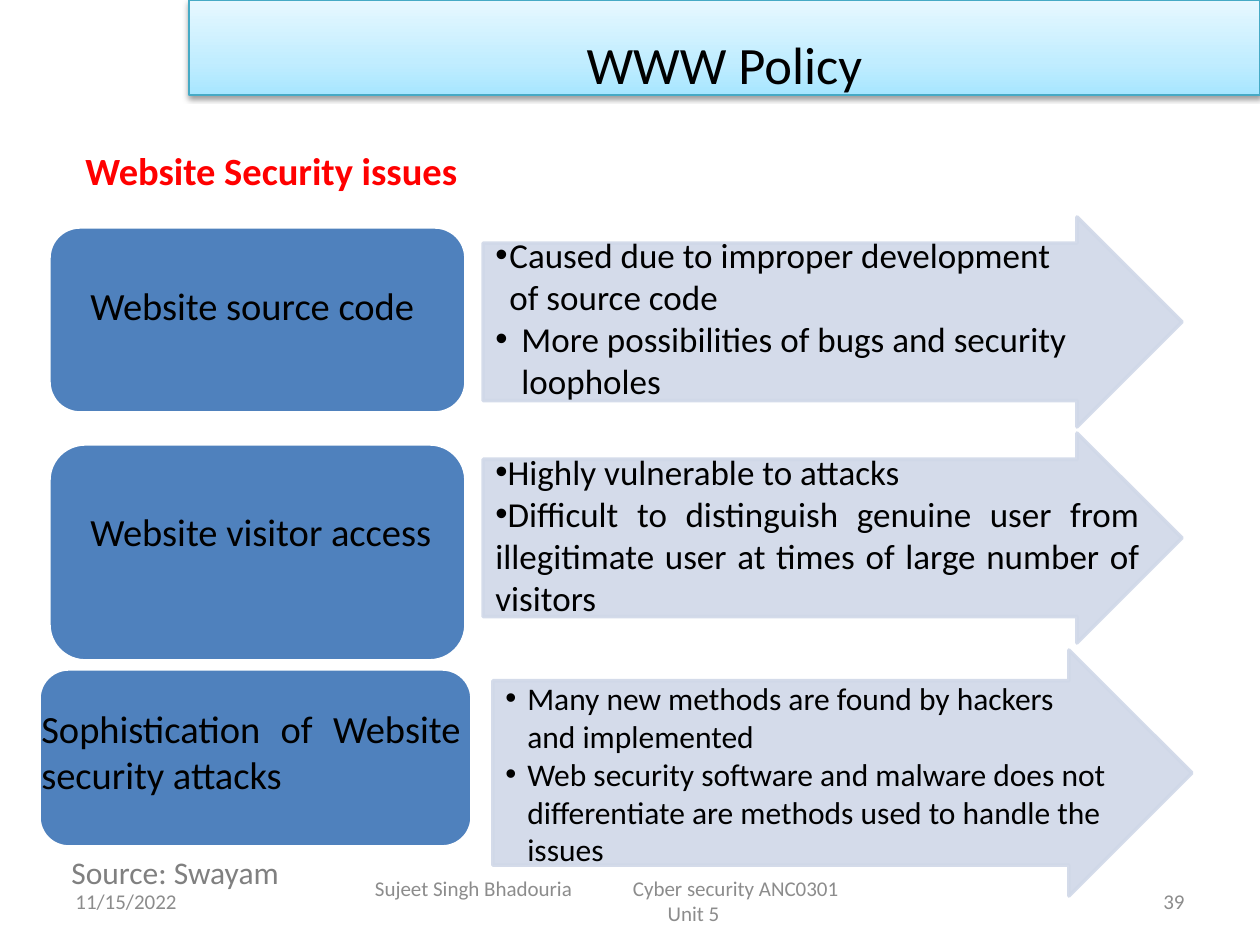
from dataclasses import dataclass

from lxml.etree import SubElement
from pptx import Presentation
from pptx.dml.color import RGBColor
from pptx.enum.shapes import MSO_SHAPE as Preset
from pptx.enum.text import MSO_ANCHOR as Anchor, PP_ALIGN as Align
from pptx.oxml import parse_xml
from pptx.oxml.ns import nsdecls, qn
from pptx.util import Emu, Pt

PX_PER_INCH = 126
BLACK = RGBColor(0x00, 0x00, 0x00)
WHITE = RGBColor(0xFF, 0xFF, 0xFF)
RED = RGBColor(0xFF, 0x00, 0x00)
GREY = RGBColor(0x80, 0x80, 0x80)
FOOTER_GREY = RGBColor(0x8C, 0x8C, 0x8C)
ISSUE_BLUE = RGBColor(0x4F, 0x81, 0xBD)
ARROW_BLUE = RGBColor(0xD0, 0xD8, 0xE8)
BANNER_EDGE = RGBColor(0x46, 0xAA, 0xC5)
BANNER_STOPS = ((0, "A7E6FF"), (35, "C1EDFF"), (100, "E7F8FF"))


@dataclass(frozen=True)
class Box:
    left: int
    top: int
    width: int
    height: int


@dataclass(frozen=True)
class Para:
    """A paragraph; hang is the bullet's hanging indent in px, None for no bullet."""
    text: str
    align: Align = Align.LEFT
    hang: int | None = None
    spacing: float = 1.0


@dataclass(frozen=True)
class Style:
    size: int
    color: RGBColor = BLACK
    bold: bool = False


@dataclass(frozen=True)
class Issue:
    panel: Box
    arrow: Box
    label_box: Box
    label: Para
    label_wraps: bool
    details_box: Box
    details: tuple[Para, ...]
    details_size: int


def px(length: int) -> Emu:
    return Emu(round(length * 914400 / PX_PER_INCH))


def place(box: Box) -> tuple[Emu, ...]:
    return px(box.left), px(box.top), px(box.width), px(box.height)


def write(frame, paras: tuple[Para, ...], style: Style, **frame_format) -> None:
    for name, value in ({"word_wrap": True} | frame_format).items():
        setattr(frame, name, value)
    for index, para in enumerate(paras):
        paragraph = frame.add_paragraph() if index else frame.paragraphs[0]
        paragraph.text = para.text
        paragraph.alignment = para.align
        paragraph.line_spacing = para.spacing
        if para.hang is not None:
            properties = paragraph._p.get_or_add_pPr()
            properties.set("marL", str(px(para.hang)))
            properties.set("indent", str(-px(para.hang)))
            SubElement(properties, qn("a:buFont"), typeface="Arial")
            SubElement(properties, qn("a:buChar"), char="•")
        for run in paragraph.runs:
            font_format = {"name": "Calibri", "size": Pt(style.size), "bold": style.bold}
            for name, value in font_format.items():
                setattr(run.font, name, value)
            run.font.color.rgb = style.color


def add_text(slide, box: Box, paras: tuple[Para, ...], style: Style, **frame_format):
    text_box = slide.shapes.add_textbox(*place(box))
    write(text_box.text_frame, paras, style, **frame_format)
    return text_box


def add_panel(slide, preset: Preset, box: Box, fill: RGBColor, edge: RGBColor,
              edge_width: float = 2, opacity: int = 100):
    panel = slide.shapes.add_shape(preset, *place(box))
    panel.shadow.inherit = False
    panel.fill.solid()
    panel.fill.fore_color.rgb = fill
    panel.line.color.rgb = edge
    panel.line.width = Pt(edge_width)
    if opacity < 100:
        for color in panel._element.spPr.iter(qn("a:srgbClr")):
            SubElement(color, qn("a:alpha"), val=str(opacity * 1000))
    return panel


def add_banner(slide, box: Box, title: str) -> None:
    banner = add_panel(slide, Preset.RECTANGLE, box, WHITE, BANNER_EDGE, 0.75)
    properties = banner._element.spPr
    stops = "".join(f'<a:gs pos="{pos * 1000}"><a:srgbClr val="{color}"/></a:gs>'
                    for pos, color in BANNER_STOPS)
    properties.replace(properties.find(qn("a:solidFill")), parse_xml(
        f'<a:gradFill {nsdecls("a")} rotWithShape="1"><a:gsLst>{stops}</a:gsLst>'
        '<a:lin ang="16200000" scaled="0"/></a:gradFill>'))
    shadow = SubElement(properties.find(qn("a:effectLst")), qn("a:outerShdw"),
                        blurRad="40000", dist="20000", dir="5400000", rotWithShape="0")
    SubElement(SubElement(shadow, qn("a:srgbClr"), val="000000"),
               qn("a:alpha"), val="38000")
    write(banner.text_frame, (Para(title, Align.CENTER, spacing=1.5),), Style(30),
          vertical_anchor=Anchor.MIDDLE)


def add_issue(slide, issue: Issue) -> None:
    add_panel(slide, Preset.ROUNDED_RECTANGLE, issue.panel, ISSUE_BLUE, WHITE)
    arrow = add_panel(slide, Preset.RIGHT_ARROW, issue.arrow, ARROW_BLUE, ARROW_BLUE,
                      opacity=90)
    arrow.adjustments[0] = 0.75
    add_text(slide, issue.label_box, (issue.label,), Style(22),
             word_wrap=issue.label_wraps)
    add_text(slide, issue.details_box, issue.details, Style(issue.details_size))


def add_footer(slide) -> None:
    style = Style(12, FOOTER_GREY)
    add_text(slide, Box(63, 876, 294, 50), (Para("11/15/2022"),), style,
             vertical_anchor=Anchor.MIDDLE)
    course = add_text(
        slide, Box(347, 876, 693, 50),
        (Para("Sujeet Singh Bhadouria\tCyber security ANC0301"),
         Para("Unit 5", Align.CENTER)),
        style, vertical_anchor=Anchor.MIDDLE, margin_left=px(28), margin_right=px(28))
    properties = course.text_frame.paragraphs[0]._p.get_or_add_pPr()
    SubElement(SubElement(properties, qn("a:tabLst")), qn("a:tab"),
               pos=str(px(258)), algn="l")
    add_text(slide, Box(903, 876, 294, 50), (Para("39", Align.RIGHT),), style,
             vertical_anchor=Anchor.MIDDLE)


ISSUES = (
    Issue(Box(49, 227, 417, 186), Box(483, 217, 699, 210),
          Box(78, 276, 353, 59), Para("Website source code"), False,
          Box(483, 227, 669, 183),
          (Para("Caused due to improper development\vof source code", hang=14),
           Para("More possibilities of bugs and security\vloopholes", hang=26)), 20),
    Issue(Box(49, 444, 417, 217), Box(483, 433, 699, 210),
          Box(78, 502, 370, 59), Para("Website visitor access"), False,
          Box(483, 444, 669, 183),
          (Para("Highly vulnerable to attacks", hang=0),
           Para("Difficult to distinguish genuine user from illegitimate user "
                "at times of large number of visitors", Align.JUSTIFY, hang=0)), 20),
    Issue(Box(39, 669, 433, 178), Box(493, 650, 699, 246),
          Box(29, 699, 444, 106),
          Para("Sophistication of Website security attacks", Align.JUSTIFY), True,
          Box(493, 673, 630, 204),
          (Para("Many new methods are found by hackers\vand implemented", hang=22),
           Para("Web security software and malware does not\v"
                "differentiate are methods used to handle the\vissues", hang=22)), 18),
)


def main() -> None:
    deck = Presentation()
    deck.slide_width, deck.slide_height = px(1260), px(945)
    slide = deck.slides.add_slide(deck.slide_layouts[6])
    add_text(slide, Box(73, 118, 1134, 88),
             (Para("Website Security issues", Align.JUSTIFY, spacing=1.5),),
             Style(22, RED, True))
    add_footer(slide)
    add_banner(slide, Box(189, 0, 1071, 95), "WWW Policy")
    for issue in ISSUES:
        add_issue(slide, issue)
    add_text(slide, Box(59, 847, 266, 50), (Para("Source: Swayam"),), Style(18, GREY),
             word_wrap=False)
    deck.save("out.pptx")


if __name__ == "__main__":
    main()
